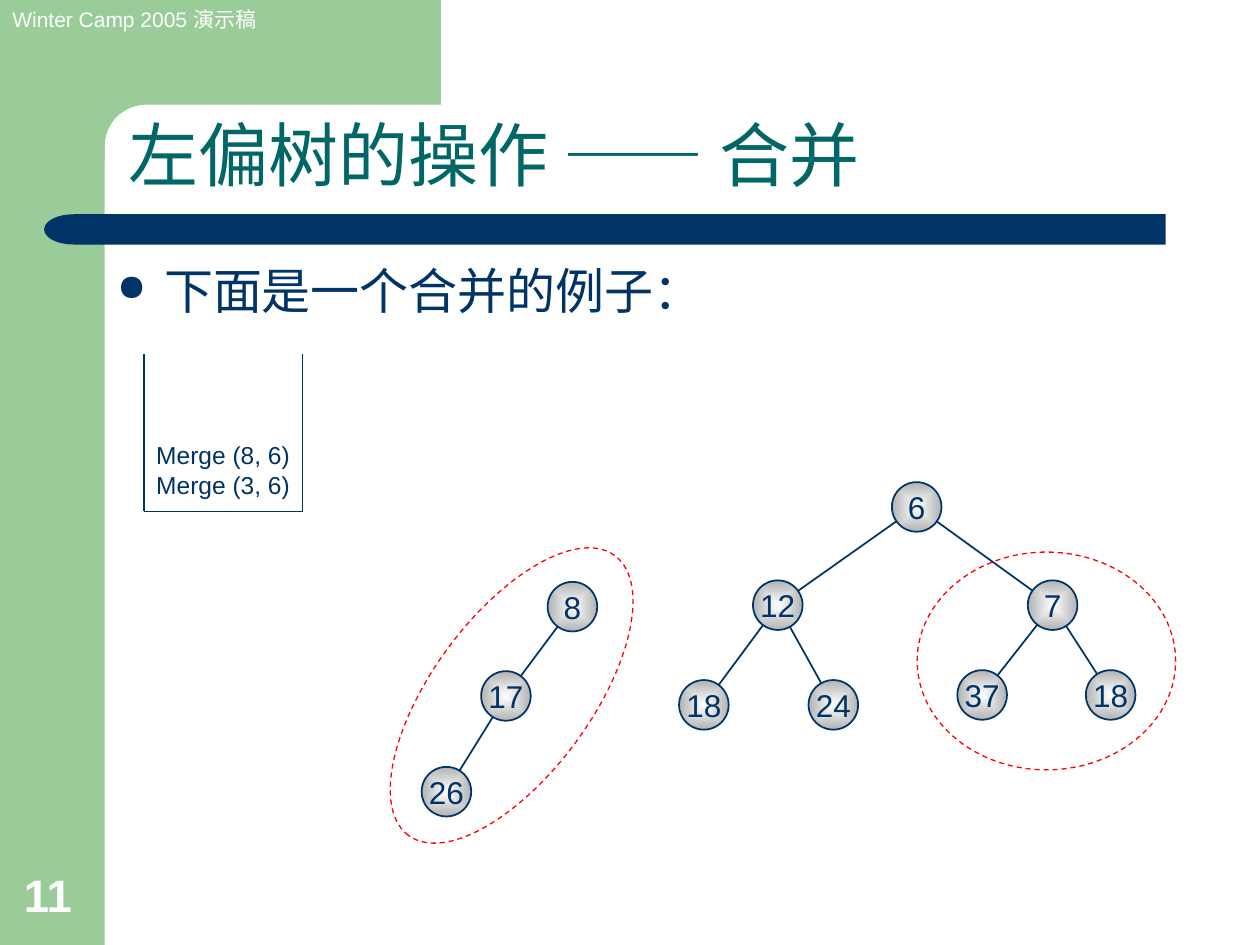
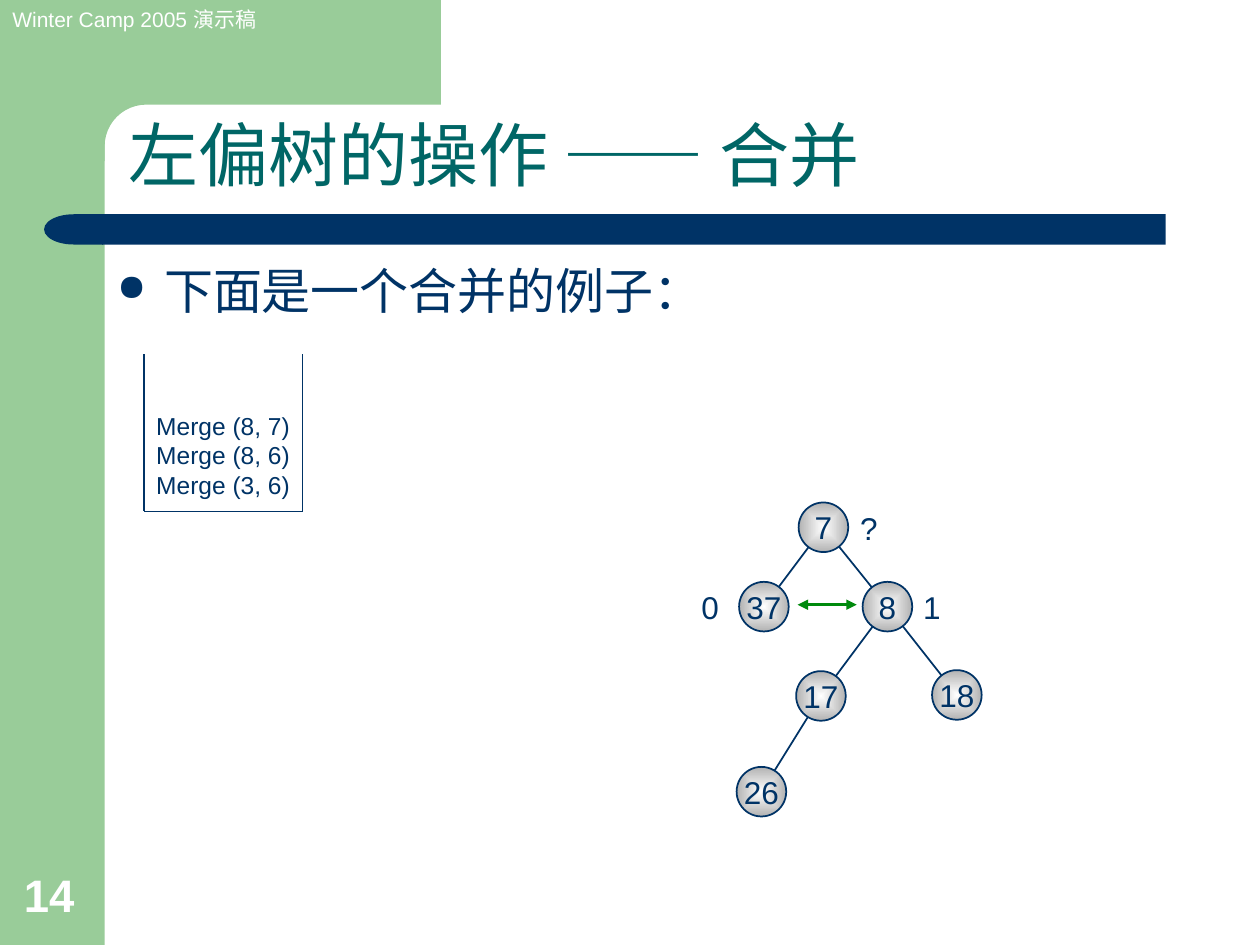
from math import cos, hypot, pi, sin

from lxml.etree import SubElement
from pptx import Presentation
from pptx.dml.color import RGBColor
from pptx.enum.dml import MSO_LINE
from pptx.enum.shapes import MSO_CONNECTOR, MSO_SHAPE as SHAPE
from pptx.enum.text import MSO_ANCHOR as ANCHOR, PP_ALIGN as ALIGN
from pptx.oxml.ns import qn
from pptx.util import Cm, Pt

GREEN, NAVY, TEAL, WHITE = "99CC99", "003366", "006666", "FFFFFF"
GREY, RED, ARROW = "B2B2B2", "FF0000", "008A0D"
LATIN, CJK = "Arial", "Noto Sans CJK SC"


def rgb(color):
    """Turn a hex string into a colour."""
    return RGBColor.from_string(color)


def add_xml(parent, tag, **attrs):
    """Append a DrawingML element and return it."""
    return SubElement(parent, qn("a:" + tag), attrs)


def put_text(sp, paras, size=18, color=NAVY, bold=False, align=ALIGN.LEFT,
             anchor=ANCHOR.TOP, wrap=True, before=0, spacing=None):
    """Write paragraphs; each is a string or a list of (text, font) runs."""
    tf = sp.text_frame
    tf.word_wrap, tf.vertical_anchor = wrap, anchor
    for i, runs in enumerate(paras):
        p = tf.add_paragraph() if i else tf.paragraphs[0]
        p.alignment, p.space_before = align, Pt(before)
        if spacing:
            p.line_spacing = spacing
        for text, font in [(runs, LATIN)] if isinstance(runs, str) else runs:
            r = p.add_run()
            r.text = text
            r.font.name, r.font.size, r.font.bold = font, Pt(size), bold
            r.font.color.rgb = rgb(color)
            add_xml(r.font._element, "ea", typeface=CJK)
    return tf


class Deck:
    """Holds the style and the current slide."""

    node_size = 1.0
    edge_inset = 0.15

    def __init__(self):
        """Start an empty 4:3 presentation."""
        self.prs = Presentation()
        self.prs.slide_width, self.prs.slide_height = Cm(25.4), Cm(19.05)
        self.s = None

    def shape(self, kind, box, fill=None, line=None, width=1.0, dash=None):
        """Add a preset shape."""
        sp = self.s.shapes.add_shape(kind, *map(Cm, box))
        return self.paint(sp, fill, line, width, dash)

    def paint(self, sp, fill=None, line=None, width=1.0, dash=None):
        """Set fill and outline, and drop the shadow."""
        sp.shadow.inherit = False
        if fill:
            sp.fill.solid()
            sp.fill.fore_color.rgb = rgb(fill)
        else:
            sp.fill.background()
        if line:
            sp.line.color.rgb, sp.line.width = rgb(line), Pt(width)
            if dash:
                sp.line.dash_style = dash
        else:
            sp.line.fill.background()
        return sp

    def text(self, box, *paras, **fmt):
        """Add a text box."""
        sp = self.s.shapes.add_textbox(*map(Cm, box))
        return put_text(sp, paras, **fmt)

    def line(self, x1, y1, x2, y2, color=NAVY, width=1.0, arrows=False):
        """Add a straight line, with arrowheads at both ends on request."""
        cn = self.s.shapes.add_connector(MSO_CONNECTOR.STRAIGHT,
                                         *map(Cm, (x1, y1, x2, y2)))
        cn.line.color.rgb, cn.line.width = rgb(color), Pt(width)
        add_xml(cn._element.spPr, "effectLst")
        if arrows:
            ln = cn.line._get_or_add_ln()
            for end in ("headEnd", "tailEnd"):
                add_xml(ln, end, type="triangle")

    def corner_band(self):
        """Add the top band that ends in a rounded inner corner."""
        cx, cy, radius, steps = 2.95, 2.95, 0.84, 12
        angles = [pi / 2 * i / steps for i in range(steps + 1)]
        arc = [(cx - radius * sin(a), cy - radius * cos(a)) for a in angles]
        points = [(8.89, 2.11), *arc, (2.11, 3.25), (1.27, 3.25), (1.27, 0)]
        fb = self.s.shapes.build_freeform(Cm(8.89), 0)
        fb.add_line_segments([(Cm(x), Cm(y)) for x, y in points])
        self.paint(fb.convert_to_shape(), GREEN)

    def new_slide(self, number):
        """Add a slide with the shared bands, title, lead line and number."""
        self.s = self.prs.slides.add_slide(self.prs.slide_layouts[6])
        self.shape(SHAPE.RECTANGLE, (0, 0, 2.11, 19.05), GREEN)
        self.corner_band()
        bar = self.shape(SHAPE.ROUNDED_RECTANGLE, (2.06, 4.32, 21.44, 0.61),
                         NAVY)
        bar.adjustments[0] = 0
        cap = self.shape(SHAPE.FLOWCHART_DELAY, (0.89, 4.32, 1.19, 0.61), NAVY)
        cap._element.spPr.find(qn("a:xfrm")).set("flipH", "1")
        self.text((0, 0, 5.79, 0.76), "Winter Camp 2005 演示稿", size=12,
                  color=WHITE, before=7.5)
        self.text((0.23, 17.35, 1.63, 1.35), str(number), size=26,
                  color=WHITE, bold=True, anchor=ANCHOR.BOTTOM)
        self.text((2.34, 2.36, 21.13, 1.73),
                  [("左偏树的操作 ", LATIN), ("——", CJK), (" 合并", LATIN)],
                  size=40, color=TEAL, anchor=ANCHOR.BOTTOM, spacing=0.9)
        self.bullet((2.11, 5.13, 21.41, 12.4), "下面是一个合并的例子：")

    def bullet(self, box, text):
        """Add a text box with one bulleted line."""
        tf = self.text(box, text, size=28, before=7)
        pPr = tf.paragraphs[0]._p.get_or_add_pPr()
        indent = Cm(0.95)
        pPr.set("marL", str(indent))
        pPr.set("indent", str(-indent))
        add_xml(add_xml(pPr, "buClr"), "srgbClr", val=NAVY)
        add_xml(pPr, "buSzPct", val="75000")
        add_xml(pPr, "buChar", char="●")

    def call_stack(self, *calls):
        """Add the open box with the pending calls, the latest on top."""
        left, right, top, bottom = 2.9, 6.1, 7.14, 10.31
        height = 0.26 + 0.6 * len(calls)
        tf = self.text((left, 10.19 - height, right - left, height), *calls,
                       size=14, anchor=ANCHOR.BOTTOM)
        tf.margin_right = 0
        corners = [(left, top), (left, bottom), (right, bottom), (right, top)]
        for start, end in zip(corners, corners[1:]):
            self.line(*start, *end, width=0.75)

    def node(self, key, x, y):
        """Add a shaded circle with its key, centred on a point."""
        d = self.node_size
        sp = self.shape(SHAPE.OVAL, (x - d / 2, y - d / 2, d, d), line=NAVY)
        sp.fill.gradient()
        for stop, color in zip(sp.fill.gradient_stops, (WHITE, GREY)):
            stop.color.rgb = rgb(color)
        grad = sp._element.spPr.find(qn("a:gradFill"))
        grad.remove(grad.find(qn("a:lin")))
        centre = dict.fromkeys("ltrb", "50000")
        add_xml(add_xml(grad, "path", path="rect"), "fillToRect", **centre)
        put_text(sp, [str(key)], align=ALIGN.CENTER, anchor=ANCHOR.MIDDLE,
                 wrap=False)

    def tree(self, key, x, y, *children):
        """Draw a tree of (key, x, y, *children), edges behind nodes."""
        for child in children:
            cx, cy = child[1:3]
            k = self.edge_inset / hypot(cx - x, cy - y)
            dx, dy = k * (cx - x), k * (cy - y)
            self.line(x + dx, y + dy, cx - dx, cy - dy)
            self.tree(*child)
        self.node(key, x, y)

    def ring(self, box, rotation=0):
        """Mark a subtree with a dashed ellipse."""
        sp = self.shape(SHAPE.OVAL, box, line=RED, width=0.75,
                        dash=MSO_LINE.DASH)
        sp.rotation = rotation

    def label(self, text, x, y, width=0.81, align=ALIGN.CENTER):
        """Add a distance label beside a node."""
        self.text((x, y, width, 1.02), text, align=align, before=11.2)


def left_chain(x, *right):
    """Return the tree 8-17-26 with its root at x and optional right child."""
    leaf = (26, x - 2.54, 15.96)
    return (8, x, 12.23, (17, x - 1.34, 14.03, leaf), *right)


deck = Deck()

# Two trees whose marked subtrees are merged next
deck.new_slide(11)
deck.tree(6, 18.48, 10.22,
          (12, 15.68, 12.2, (18, 14.19, 14.21), (24, 16.8, 14.21)),
          (7, 21.22, 12.2, (37, 19.8, 14.01), (18, 22.39, 14.01)))
deck.tree(*left_chain(11.54))
deck.call_stack("Merge (8, 6)", "Merge (3, 6)")
deck.ring((6.81, 12.42, 7.01, 3.2), rotation=306.4)
deck.ring((18.49, 11.13, 5.21, 4.39))

# Merged subtree whose children are to be swapped
deck.new_slide(14)
deck.call_stack("Merge (8, 7)", "Merge (8, 6)", "Merge (3, 6)")
deck.tree(7, 16.6, 10.63, (37, 15.4, 12.23),
          left_chain(17.89, (18, 19.29, 14.01)))
deck.label("0", 13.89, 11.73)
deck.label("1", 18.29, 11.73, width=0.99)
deck.label("?", 17.09, 10.13, align=ALIGN.LEFT)
deck.line(16.08, 12.19, 17.27, 12.19, color=ARROW, width=1.5, arrows=True)

deck.prs.save("out.pptx")
